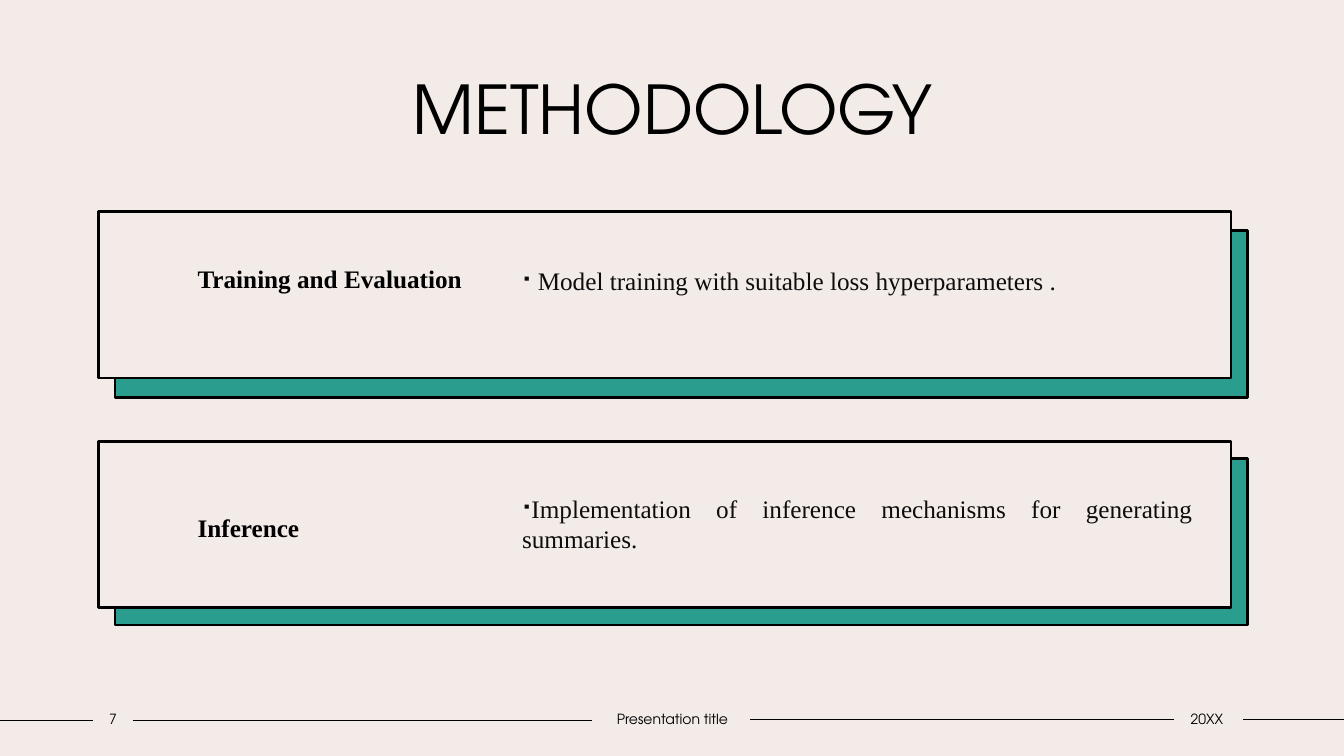
from dataclasses import dataclass

from lxml import etree
from pptx import Presentation
from pptx.dml.color import RGBColor
from pptx.enum.shapes import MSO_CONNECTOR, MSO_SHAPE
from pptx.enum.text import MSO_ANCHOR, PP_ALIGN
from pptx.oxml.ns import qn
from pptx.util import Inches, Pt

RECTANGLE = MSO_SHAPE.RECTANGLE
STRAIGHT = MSO_CONNECTOR.STRAIGHT
MIDDLE = MSO_ANCHOR.MIDDLE
LEFT, CENTER, JUSTIFY = PP_ALIGN.LEFT, PP_ALIGN.CENTER, PP_ALIGN.JUSTIFY


@dataclass(frozen=True)
class Theme:
    """Colours, fonts and sizes of the deck."""
    paper: RGBColor = RGBColor(0xF3, 0xEB, 0xE8)
    ink: RGBColor = RGBColor(0, 0, 0)
    body_ink: RGBColor = RGBColor(0x0D, 0x0D, 0x0D)
    accent: RGBColor = RGBColor(0x2A, 0x9D, 0x8F)
    display_font: str = "TeX Gyre Adventor"
    body_font: str = "Times New Roman"
    title_size: int = 48
    body_size: int = 18
    footer_size: int = 10
    card_line: int = 2
    rule_line: int = 1


THEME = Theme()


def set_text(shape, text, font, size, color, align, margins=(0.1, 0.05, 0.1, 0.05)):
    """Write one styled paragraph into a shape and return it."""
    frame = shape.text_frame
    frame.word_wrap = True
    frame.vertical_anchor = MIDDLE
    (frame.margin_left, frame.margin_top,
     frame.margin_right, frame.margin_bottom) = map(Inches, margins)
    para = frame.paragraphs[0]
    para.text = text
    para.alignment = align
    para.font.name = font
    para.font.size = Pt(size)
    para.font.color.rgb = color
    return para


def add_label(page, box, text, font, size, color, align, **options):
    """Add a text box and return its paragraph."""
    shape = page.shapes.add_textbox(*map(Inches, box))
    return set_text(shape, text, font, size, color, align, **options)


def add_panel(page, box, fill):
    """Add an outlined rectangle."""
    panel = page.shapes.add_shape(RECTANGLE, *map(Inches, box))
    panel.shadow.inherit = False
    panel.fill.solid()
    panel.fill.fore_color.rgb = fill
    panel.line.color.rgb = THEME.ink
    panel.line.width = Pt(THEME.card_line)
    return panel


def add_bullet(para):
    """Give a paragraph a small square bullet with a hanging indent."""
    properties = para._p.get_or_add_pPr()
    properties.set("marL", "0")
    properties.set("indent", str(-Inches(0.15)))
    etree.SubElement(properties, qn("a:buSzPct")).set("val", "50000")
    etree.SubElement(properties, qn("a:buChar")).set("char", "▪")
    properties.append(properties.find(qn("a:defRPr")))


def add_card(page, box, shadow_drop, heading, lift, detail, detail_box):
    """Draw a card with its offset backing, heading and bulleted detail."""
    left, top, width, height = box
    add_panel(page, (left + 0.16, top + shadow_drop, width, height), THEME.accent)
    panel = add_panel(page, box, THEME.paper)
    para = set_text(panel, heading, THEME.body_font, THEME.body_size, THEME.ink,
                    LEFT, margins=(0.98, 0.05, 7.1, 0.05 + lift))
    para.font.bold = True
    para.line_spacing = 1.2
    inset_left, inset_top, detail_width, detail_height = detail_box
    detail_para = add_label(
        page, (left + inset_left, top + inset_top, detail_width, detail_height),
        detail, THEME.body_font, THEME.body_size, THEME.body_ink, JUSTIFY)
    add_bullet(detail_para)


def add_rule(page, start, end, height):
    """Draw a horizontal footer line."""
    rule = page.shapes.add_connector(
        STRAIGHT, Inches(start), Inches(height), Inches(end), Inches(height))
    rule.line.color.rgb = THEME.ink
    rule.line.width = Pt(THEME.rule_line)
    etree.SubElement(rule._element.spPr, qn("a:effectLst"))


def add_footer(page, box):
    """Draw the footer lines with the page number, title and date between."""
    left, top, width, height = box
    for start, end, drop in ((0, 0.92, 0.15), (1.32, 5.87, 0.15),
                             (7.44, 11.64, 0.14), (12.33, width, 0.14)):
        add_rule(page, left + start, left + end, top + drop)
    for offset, span, text in ((0.92, 0.4, "7"), (5.87, 1.6, "Presentation title"),
                               (11.62, 0.7, "20XX")):
        add_label(page, (left + offset, top, span, height), text,
                  THEME.display_font, THEME.footer_size, THEME.ink, CENTER,
                  margins=(0, 0.05, 0, 0.05))


def build_methodology(page):
    """Compose the methodology slide."""
    page.background.fill.solid()
    page.background.fill.fore_color.rgb = THEME.paper
    title = add_label(page, (1.25, 0.56, 10.84, 1.11), "METHODOLOGY",
                      THEME.display_font, THEME.title_size, THEME.ink, CENTER)
    title.line_spacing = 0.9
    add_card(page, (0.98, 2.1, 11.23, 1.65), 0.19, "Training and Evaluation", 0.38,
             " Model training with suitable loss hyperparameters .",
             (4.1, 0.1, 7.01, 1.16))
    add_card(page, (0.98, 4.38, 11.23, 1.65), 0.17, "Inference", 0,
             "Implementation of inference mechanisms for generating summaries.",
             (4.1, 0.34, 6.85, 0.95))
    add_footer(page, (0, 7, 13.33, 0.27))


def main():
    """Build and save the deck."""
    deck = Presentation()
    deck.slide_width, deck.slide_height = Inches(13.33), Inches(7.5)
    build_methodology(deck.slides.add_slide(deck.slide_layouts[6]))
    deck.save("out.pptx")


if __name__ == "__main__":
    main()
